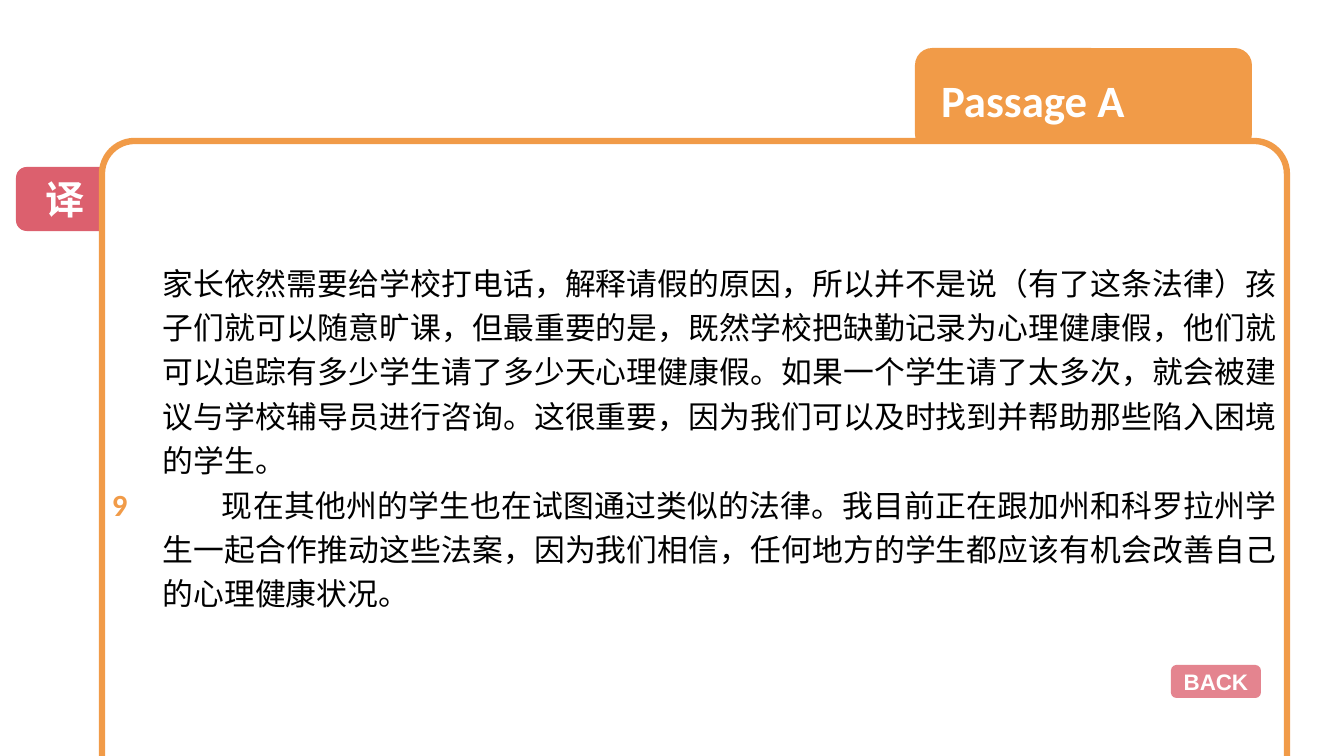
from lxml.etree import SubElement
from pptx import Presentation
from pptx.dml.color import RGBColor
from pptx.enum.shapes import MSO_SHAPE
from pptx.enum.text import MSO_ANCHOR, PP_ALIGN
from pptx.oxml.ns import qn
from pptx.util import Pt

PX = 914400 / 100.8
THEME = {
    "orange": RGBColor.from_string("F19B48"),
    "rose": RGBColor.from_string("DA5362"),
    "white": RGBColor.from_string("FFFFFF"),
    "black": RGBColor.from_string("000000"),
    "title": Pt(32),
    "badge": Pt(28),
    "body": Pt(22),
    "button": Pt(16),
    "line": Pt(31.7),
    "border": Pt(4.5),
    "latin": "Calibri",
    "button font": "Arial",
    "chinese": "Noto Sans CJK SC",
}


def add_panel(place, fill, opacity=100):
    panel = page.shapes.add_shape(MSO_SHAPE.ROUNDED_RECTANGLE, *[round(n * PX) for n in place])
    panel.shadow.inherit = False
    panel.fill.solid()
    panel.fill.fore_color.rgb = THEME[fill]
    panel.line.fill.background()
    if opacity < 100:
        color = panel.fill._xPr.find(qn("a:solidFill"))[0]
        SubElement(color, qn("a:alpha"), val=str(opacity * 1000))
    return panel


def write(box, texts, font, size, color, bold, align, anchor=MSO_ANCHOR.MIDDLE):
    frame = box.text_frame
    settings = {"word_wrap": True, "vertical_anchor": anchor, "margin_left": 0,
                "margin_right": 0, "margin_top": 0, "margin_bottom": 0}
    for name, value in settings.items():
        setattr(frame, name, value)
    frame.text = "\n".join(texts)
    for para in frame.paragraphs:
        para.alignment = align
        for span in para.runs:
            for name, value in {"name": THEME[font], "size": THEME[size], "bold": bold}.items():
                setattr(span.font, name, value)
            span.font.color.rgb = THEME[color]
            SubElement(span.font._element, qn("a:ea"), typeface=THEME["chinese"])


deck = Presentation()
deck.slide_width = round(1344 * PX)
deck.slide_height = round(756 * PX)
page = deck.slides.add_slide(deck.slide_layouts[5])

badge = add_panel((16, 167, 98, 64), "rose", 92)
write(badge, ["译"], "chinese", "badge", "white", True, PP_ALIGN.CENTER)

tab = add_panel((915, 48, 337, 103), "orange")
title = page.shapes.title
for name, value in {"left": 941, "top": 48, "width": 300, "height": 103}.items():
    setattr(title, name, round(value * PX))
write(title, ["Passage A"], "latin", "title", "white", True, PP_ALIGN.LEFT)
tab._element.addnext(title._element)

card = add_panel((102, 141, 1185, 699), "white")
card.adjustments[0] = 0.047
card.line.color.rgb = THEME["orange"]
card.line.width = THEME["border"]

passage = [
    "家长依然需要给学校打电话，解释请假的原因，所以并不是说（有了这条法律）孩子们就可以随意旷课，但最重要的是，既然学校把缺勤记录为心理健康假，他们就可以追踪有多少学生请了多少天心理健康假。如果一个学生请了太多次，就会被建议与学校辅导员进行咨询。这很重要，因为我们可以及时找到并帮助那些陷入困境的学生。",
    "现在其他州的学生也在试图通过类似的法律。我目前正在跟加州和科罗拉州学生一起合作推动这些法案，因为我们相信，任何地方的学生都应该有机会改善自己的心理健康状况。",
]
translation = page.shapes.add_textbox(*[round(n * PX) for n in (163, 257, 1114, 356)])
write(translation, passage, "chinese", "body", "black", False, PP_ALIGN.JUSTIFY, MSO_ANCHOR.TOP)
for para in translation.text_frame.paragraphs:
    para.line_spacing = THEME["line"]
para._p.get_or_add_pPr().set("indent", str(round(59 * PX)))

back = add_panel((1171, 665, 90, 33), "rose", 71)
write(back, ["BACK"], "button font", "button", "white", True, PP_ALIGN.CENTER)

number = page.shapes.add_textbox(*[round(n * PX) for n in (112, 486, 31, 38)])
write(number, ["9"], "latin", "body", "orange", True, PP_ALIGN.LEFT, MSO_ANCHOR.TOP)

deck.save("out.pptx")
